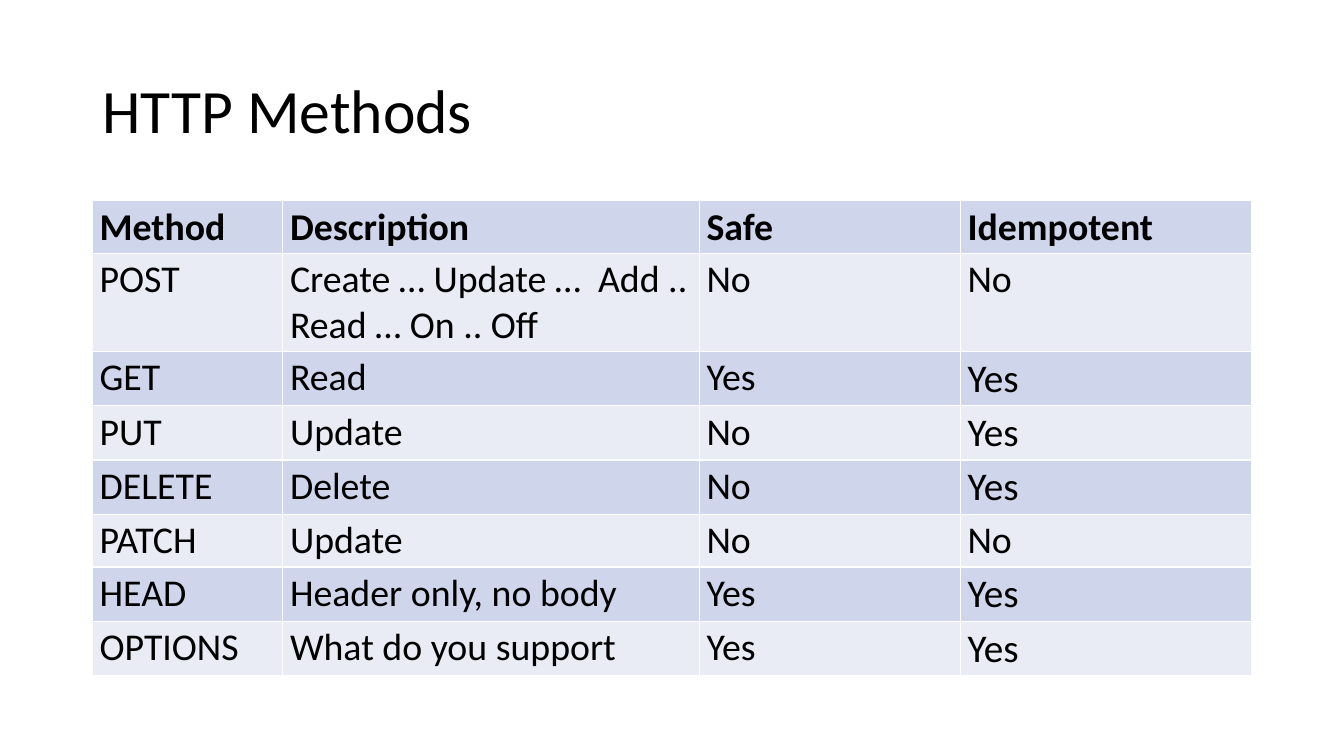
from pptx import Presentation
from pptx import util as u
from pptx.dml.color import RGBColor
from pptx.enum import text
from pptx.oxml import parse_xml
from pptx.oxml.ns import nsdecls

# Content
TITLE = "HTTP Methods"
METHODS = [
    ("Method", "Description", "Safe", "Idempotent"),
    ("POST", "Create … Update …  Add .. Read … On .. Off", "No", "No"),
    ("GET", "Read", "Yes", "Yes"),
    ("PUT", "Update", "No", "Yes"),
    ("DELETE", "Delete", "No", "Yes"),
    ("PATCH", "Update", "No", "No"),
    ("HEAD", "Header only, no body", "Yes", "Yes"),
    ("OPTIONS", "What do you support", "Yes", "Yes"),
]

# Theme and layout, in points
THEME = {
    "font": "Calibri", "ink": "000000", "border": "FFFFFF",
    "bands": ("CFD5EA", "E9EBF5"),
    "title": 44, "body": 27, "idempotent_yes": 28,
}
LEFT, WIDTH = 66, 828
TITLE_TOP, TITLE_HEIGHT = 28.75, 104.4
TABLE_TOP, ROW_HEIGHT = 143.3, 37.44
COLUMN_WIDTHS = (136, 297.5, 186.5, 208)
TITLE_FRAME = {"word_wrap": True, "vertical_anchor": text.MSO_ANCHOR.MIDDLE}
CELL_MARGINS = {
    "margin_left": u.Pt(5.2), "margin_right": u.Pt(5.2),
    "margin_top": u.Pt(2.6), "margin_bottom": u.Pt(2.6),
}


def apply(target, values):
    for name, value in values.items():
        setattr(target, name, value)


def write(paragraph, wording, size, bold=False):
    run = paragraph.add_run()
    run.text = wording
    apply(run.font, {"name": THEME["font"], "size": u.Pt(size), "bold": bold})
    run.font.color.rgb = RGBColor.from_string(THEME["ink"])


def add_borders(cell):
    properties = cell._tc.get_or_add_tcPr()
    for side in "LRTB":
        properties.append(parse_xml(
            f'<a:ln{side} {nsdecls("a")} w="{u.Pt(1)}"><a:solidFill>'
            f'<a:srgbClr val="{THEME["border"]}"/></a:solidFill></a:ln{side}>'))


presentation = Presentation()
apply(presentation, {"slide_width": u.Pt(960), "slide_height": u.Pt(540)})
slide = presentation.slides.add_slide(presentation.slide_layouts[6])

# Title
title = slide.shapes.add_textbox(
    *map(u.Pt, (LEFT, TITLE_TOP, WIDTH, TITLE_HEIGHT)))
apply(title.text_frame, TITLE_FRAME)
paragraph = title.text_frame.paragraphs[0]
paragraph.line_spacing = 0.9
write(paragraph, TITLE, THEME["title"])

# Methods table
table = slide.shapes.add_table(
    len(METHODS), len(COLUMN_WIDTHS),
    *map(u.Pt, (LEFT, TABLE_TOP, WIDTH, ROW_HEIGHT * len(METHODS)))).table
apply(table, {"first_row": False, "horz_banding": False})
for column, width in zip(table.columns, COLUMN_WIDTHS):
    column.width = u.Pt(width)

for row_index, method in enumerate(METHODS):
    table.rows[row_index].height = u.Pt(ROW_HEIGHT)
    for column_index, wording in enumerate(method):
        cell = table.cell(row_index, column_index)
        apply(cell, CELL_MARGINS)
        add_borders(cell)
        cell.fill.solid()
        cell.fill.fore_color.rgb = RGBColor.from_string(
            THEME["bands"][row_index % 2])
        larger = column_index == 3 and wording == "Yes"
        write(cell.text_frame.paragraphs[0], wording,
              THEME["idempotent_yes" if larger else "body"],
              bold=row_index == 0)

presentation.save("out.pptx")
